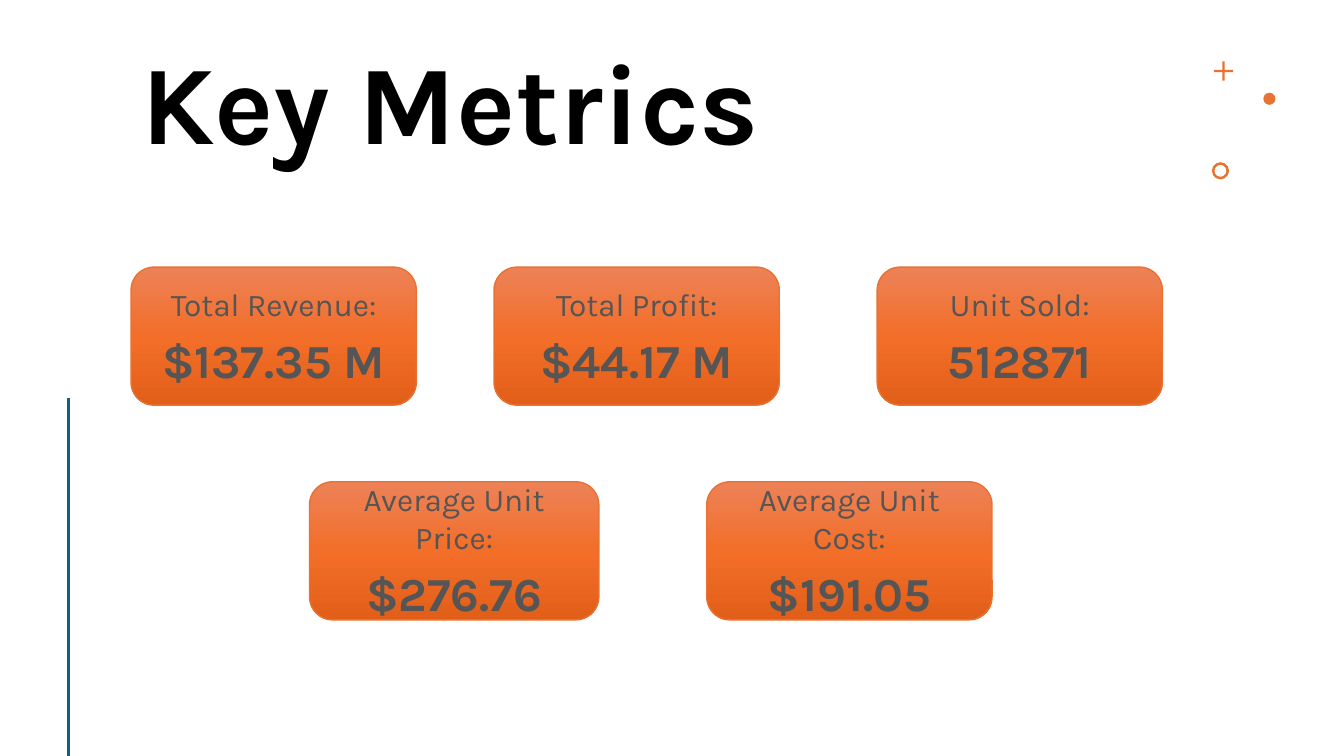
import copy

import pptx
import pptx.dml.color
import pptx.enum.shapes
import pptx.enum.text
import pptx.oxml.ns
import pptx.util
from lxml import etree

Inches, Pt = pptx.util.Inches, pptx.util.Pt
SHAPE = pptx.enum.shapes.MSO_SHAPE
ALIGN = pptx.enum.text.PP_ALIGN
MIDDLE = pptx.enum.text.MSO_ANCHOR.MIDDLE

FONT = "Karla"
ORANGE, BLUE, GREY, BLACK = "E97132", "156082", "555555", "000000"
GRADIENT = [(0, "ED8257"), (0.5, "F26E29"), (1, "E25F1A")]
CARD_HEIGHT = 1.37

TITLE = "Key Metrics"
# label, value, left, top, width
CARDS = [
    ("Total Revenue:", "$137.35 M", 1.3, 2.65, 2.83),
    ("Total Profit:", "$44.17 M", 4.9, 2.65, 2.83),
    ("Unit Sold:", "512871", 8.7, 2.65, 2.83),
    ("Average Unit Price:", "$276.76", 3.07, 4.78, 2.87),
    ("Average Unit Cost:", "$191.05", 7.01, 4.78, 2.83),
]
# preset, left, top, size, adjustment
ORNAMENTS = [
    (SHAPE.CROSS, 12.04, 0.61, 0.19, 0.44),
    (SHAPE.OVAL, 12.53, 0.92, 0.12, None),
    (SHAPE.DONUT, 12.02, 1.61, 0.17, 0.15),
]


def rgb(value):
    return pptx.dml.color.RGBColor.from_string(value)


def write(p, text, size, color, bold=False, align=None, after=0, spacing=None):
    p.alignment = align
    p.space_before, p.space_after = Pt(0), Pt(after)
    p.line_spacing = spacing
    r = p.add_run()
    r.text = text
    r.font.name, r.font.size, r.font.bold = FONT, Pt(size), bold
    r.font.color.rgb = rgb(color)


def add_shape(slide, preset, left, top, width, height):
    sp = slide.shapes.add_shape(preset, Inches(left), Inches(top), Inches(width), Inches(height))
    sp.shadow.inherit = False
    return sp


def fill_gradient(sp):
    """Fill from top to bottom with the three GRADIENT stops."""
    sp.fill.gradient()
    sp.fill.gradient_angle = 270
    first = sp._element.spPr.find(".//" + pptx.oxml.ns.qn("a:gs"))
    first.addnext(copy.deepcopy(first))
    for stop, (position, color) in zip(sp.fill.gradient_stops, GRADIENT):
        stop.position = position
        stop.color.rgb = rgb(color)


def add_card(slide, label, value, left, top, width):
    sp = add_shape(slide, SHAPE.ROUNDED_RECTANGLE, left, top, width, CARD_HEIGHT)
    fill_gradient(sp)
    sp.line.color.rgb = rgb(ORANGE)
    sp.line.width = Pt(1)
    tf = sp.text_frame
    tf.word_wrap = True
    tf.vertical_anchor = MIDDLE
    write(tf.paragraphs[0], label, 22.6, GREY, align=ALIGN.CENTER, after=6)
    write(tf.add_paragraph(), value, 33.8, GREY, bold=True, align=ALIGN.CENTER, after=6)


def add_ornament(slide, preset, left, top, size, adjustment):
    sp = add_shape(slide, preset, left, top, size, size)
    if adjustment is not None:
        sp.adjustments[0] = adjustment
    sp.fill.solid()
    sp.fill.fore_color.rgb = rgb(ORANGE)
    sp.line.fill.background()


def add_side_line(slide):
    line = slide.shapes.add_connector(
        pptx.enum.shapes.MSO_CONNECTOR.STRAIGHT,
        Inches(0.68), Inches(3.95), Inches(0.68), Inches(7.5))
    line.line.color.rgb = rgb(BLUE)
    line.line.width = Pt(2)
    etree.SubElement(line._element.spPr, pptx.oxml.ns.qn("a:effectLst"))


def main():
    prs = pptx.Presentation()
    prs.slide_width, prs.slide_height = Inches(13.33), Inches(7.5)
    slide = prs.slides.add_slide(prs.slide_layouts[5])

    title = slide.shapes.title
    title.left, title.top = Inches(1.3), Inches(0.42)
    title.width, title.height = Inches(10.23), Inches(1.31)
    title.text_frame.vertical_anchor = MIDDLE
    write(title.text_frame.paragraphs[0], TITLE, 80, BLACK,
          bold=True, align=ALIGN.LEFT, spacing=0.9)

    for ornament in ORNAMENTS:
        add_ornament(slide, *ornament)
    add_side_line(slide)
    for card in CARDS:
        add_card(slide, *card)
    prs.save("out.pptx")


if __name__ == "__main__":
    main()
